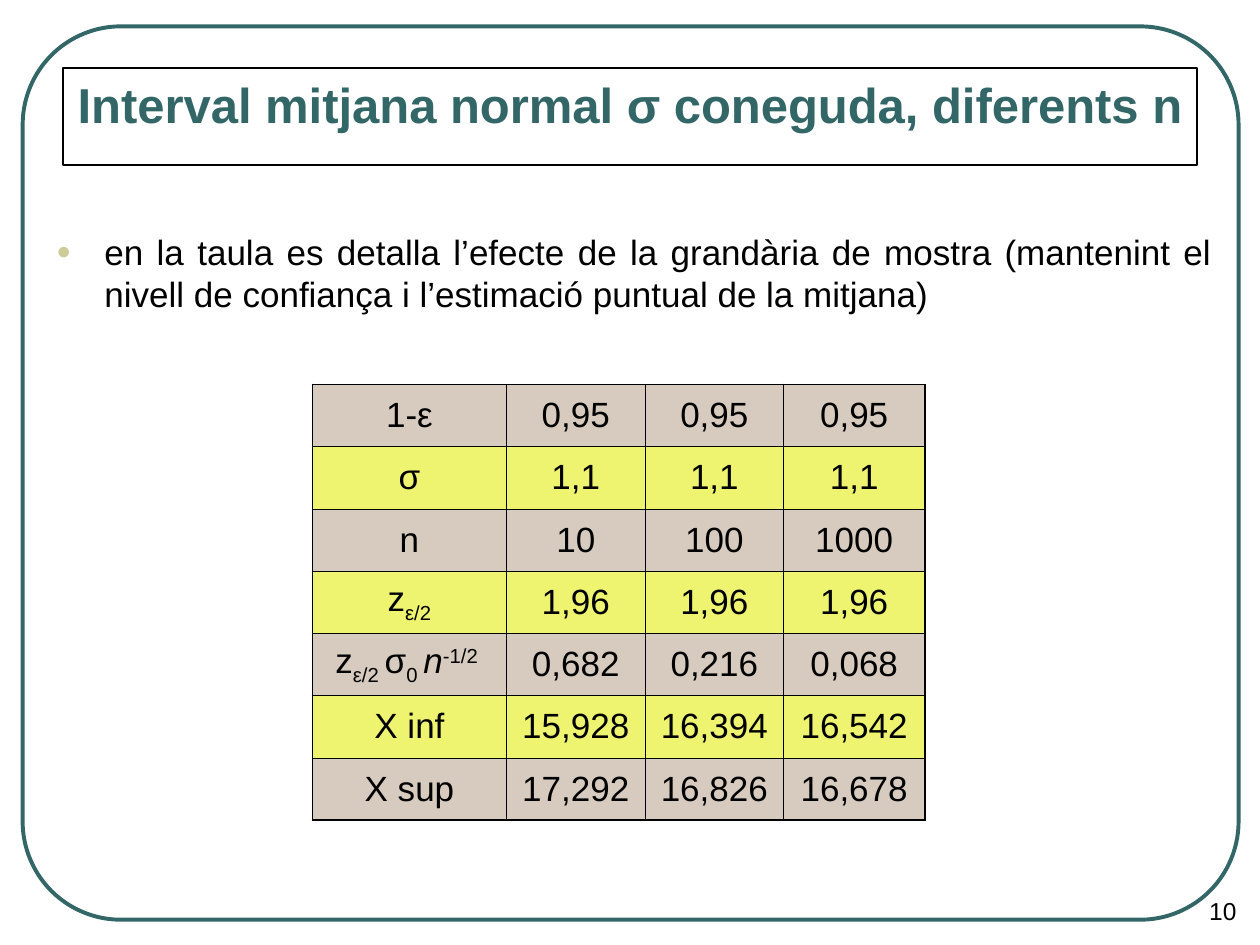
from lxml.etree import SubElement
from pptx import Presentation
from pptx.dml.color import RGBColor
from pptx.enum.shapes import MSO_SHAPE
from pptx.enum.text import MSO_ANCHOR, PP_ALIGN
from pptx.oxml.ns import qn
from pptx.util import Inches, Pt

SLIDE_WIDTH, SLIDE_HEIGHT = Inches(10), Inches(7.5)
FONT = "Arial"
TEAL = RGBColor(0x33, 0x66, 0x66)
BLACK = RGBColor(0x00, 0x00, 0x00)
WHITE = RGBColor(0xFF, 0xFF, 0xFF)
KHAKI = RGBColor(0xCC, 0xCC, 0x99)
BEIGE = RGBColor(0xD7, 0xCB, 0xBF)
YELLOW = RGBColor(0xEE, 0xF4, 0x70)

# Border widths in points
OUTER, LABEL_EDGE, INNER = 1.08, 0.75, 0.45
# Baseline shifts in thousandths of a percent
SUBSCRIPT, SUPERSCRIPT = -25000, 30000

# A label is a list of runs: text, baseline shift, italic
CRITICAL_VALUE = [("z", 0, False), ("ε/2", SUBSCRIPT, False)]
HALF_WIDTH = [("z", 0, False), ("ε/2 ", SUBSCRIPT, False), ("σ", 0, False),
              ("0 ", SUBSCRIPT, False), ("n", 0, True), ("-1/2 ", SUPERSCRIPT, False)]
ROWS = [
    ("1-ε", "0,95", "0,95", "0,95"),
    ("σ", "1,1", "1,1", "1,1"),
    ("n", "10", "100", "1000"),
    (CRITICAL_VALUE, "1,96", "1,96", "1,96"),
    (HALF_WIDTH, "0,682", "0,216", "0,068"),
    ("X inf", "15,928", "16,394", "16,542"),
    ("X sup", "17,292", "16,826", "16,678"),
]
COLUMN_SHARES = (15.4, 11, 11, 11.2)


def across(percent):
    return round(SLIDE_WIDTH * percent / 100)


def down(percent):
    return round(SLIDE_HEIGHT * percent / 100)


def area(left, top, width, height):
    """Turn percentages of the slide into a position and a size."""
    return across(left), down(top), across(width), down(height)


def add_runs(paragraph, content, size, color=BLACK, bold=False):
    runs = [(content, 0, False)] if isinstance(content, str) else content
    for text, baseline, italic in runs:
        run = paragraph.add_run()
        run.text = text
        font = run.font
        font.name, font.size, font.bold, font.italic = FONT, Pt(size), bold, italic
        font.color.rgb = color
        if baseline:
            run._r.get_or_add_rPr().set("baseline", str(baseline))


def add_frame(slide):
    frame = slide.shapes.add_shape(MSO_SHAPE.ROUNDED_RECTANGLE, *area(1.8, 2.8, 96.5, 94.53))
    frame.adjustments[0] = 0.11
    frame.shadow.inherit = False
    frame.fill.background()
    frame.line.color.rgb = TEAL
    frame.line.width = Pt(2.25)


def add_text(slide, place, text, size, alignment=PP_ALIGN.CENTER, color=BLACK, bold=False):
    box = slide.shapes.add_textbox(*place)
    box.text_frame.word_wrap = True
    paragraph = box.text_frame.paragraphs[0]
    paragraph.alignment = alignment
    add_runs(paragraph, text, size, color, bold)
    return box


def add_title(slide, text):
    title = add_text(slide, area(5, 7.2, 90, 10.27), text, 28, color=TEAL, bold=True)
    title.fill.solid()
    title.fill.fore_color.rgb = WHITE
    title.line.color.rgb = BLACK
    title.line.width = Pt(0.75)


def add_bullet(paragraph, indent):
    paragraph.space_before = Pt(5)
    properties = paragraph._p.get_or_add_pPr()
    properties.set("marL", str(indent))
    properties.set("indent", str(-indent))
    color = SubElement(properties, qn("a:buClr"))
    SubElement(color, qn("a:srgbClr"), val=str(KHAKI))
    SubElement(properties, qn("a:buSzPct"), val="70000")
    SubElement(properties, qn("a:buFont"), typeface=FONT)
    SubElement(properties, qn("a:buChar"), char="●")


def set_borders(cell, left, right, top, bottom):
    properties = cell._tc.get_or_add_tcPr()
    for side, width in zip("LRTB", (left, right, top, bottom)):
        line = SubElement(properties, qn(f"a:ln{side}"), w=str(Pt(width)))
        fill = SubElement(line, qn("a:solidFill"))
        SubElement(fill, qn("a:srgbClr"), val=str(BLACK))


def vertical_edge(index):
    """Width of the vertical rule before the column with this index."""
    if index in (0, len(COLUMN_SHARES)):
        return OUTER
    return LABEL_EDGE if index == 1 else INNER


def horizontal_edge(index):
    """Width of the horizontal rule above the row with this index."""
    return OUTER if index in (0, len(ROWS)) else INNER


def fill_cell(cell, content, row, column):
    set_borders(cell, vertical_edge(column), vertical_edge(column + 1),
                horizontal_edge(row), horizontal_edge(row + 1))
    cell.fill.solid()
    cell.fill.fore_color.rgb = YELLOW if row % 2 else BEIGE
    cell.vertical_anchor = MSO_ANCHOR.MIDDLE
    paragraph = cell.text_frame.paragraphs[0]
    paragraph.alignment = PP_ALIGN.CENTER
    paragraph.space_before = Pt(5)
    add_runs(paragraph, content, 20)


def add_interval_table(slide):
    place = area(24.8, 40.67, sum(COLUMN_SHARES), 46.13)
    table = slide.shapes.add_table(len(ROWS), len(COLUMN_SHARES), *place).table
    table.first_row = table.horz_banding = False
    for column, share in zip(table.columns, COLUMN_SHARES):
        column.width = across(share)
    for row, contents in enumerate(ROWS):
        for column, content in enumerate(contents):
            fill_cell(table.cell(row, column), content, row, column)


def main():
    presentation = Presentation()
    presentation.slide_width, presentation.slide_height = SLIDE_WIDTH, SLIDE_HEIGHT
    slide = presentation.slides.add_slide(presentation.slide_layouts[6])

    # Frame, title and slide number
    add_frame(slide)
    add_title(slide, "Interval mitjana normal σ coneguda, diferents n")
    add_text(slide, area(94.5, 94.13, 5.1, 4.93), "10", 14)

    # Explanation
    explanation = add_text(
        slide, area(3.5, 23.73, 93.7, 12.53),
        "en la taula es detalla l’efecte de la grandària de mostra "
        "(mantenint el nivell de confiança i l’estimació puntual de la mitjana)",
        20, PP_ALIGN.JUSTIFY)
    add_bullet(explanation.text_frame.paragraphs[0], across(3.8))

    # Intervals by sample size
    add_interval_table(slide)
    presentation.save("out.pptx")


if __name__ == "__main__":
    main()
